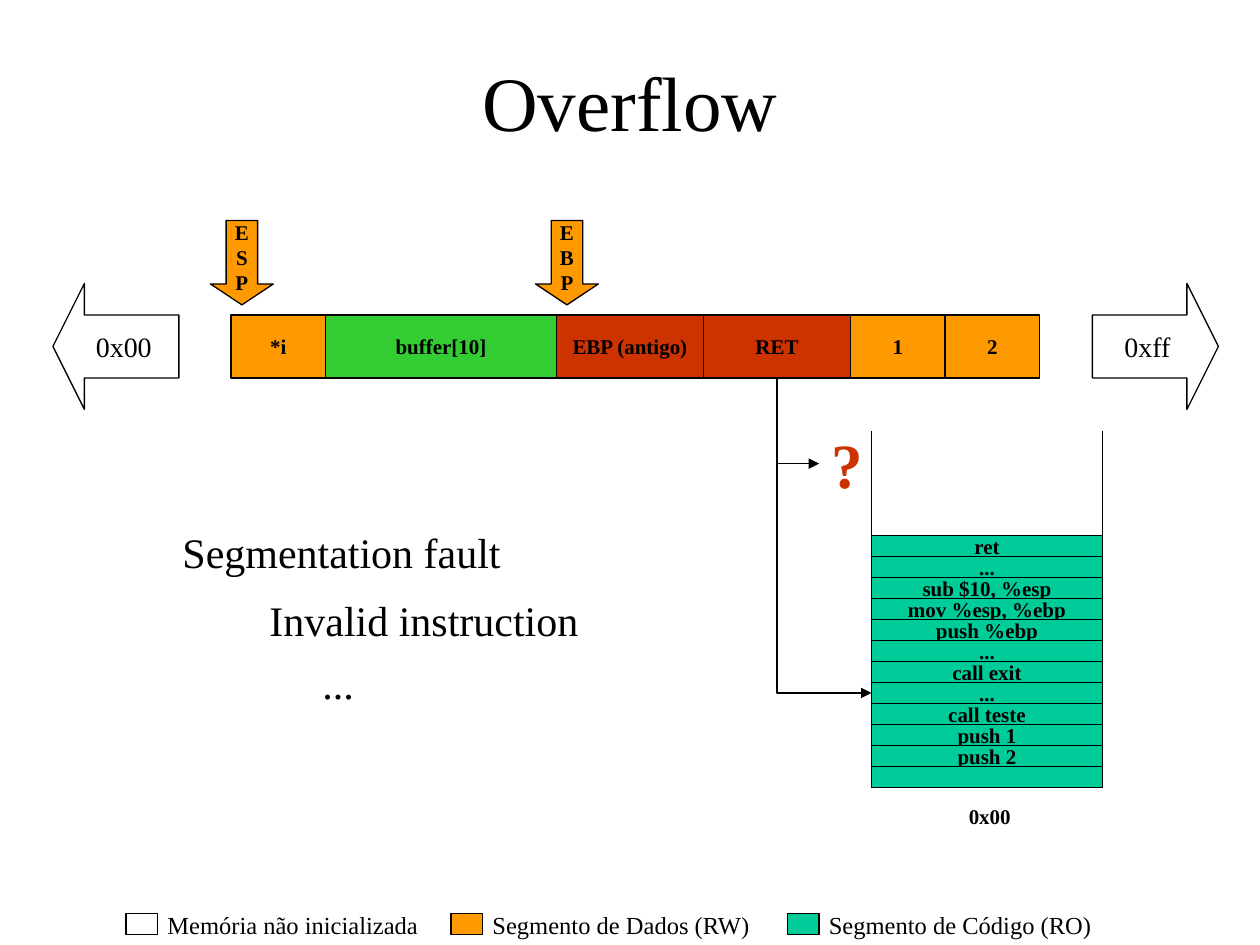
from typing import NamedTuple, Optional

from lxml.etree import SubElement
from pptx import Presentation
from pptx.dml.color import RGBColor
from pptx.enum.shapes import MSO_CONNECTOR, MSO_SHAPE as Shape
from pptx.enum.text import MSO_ANCHOR as Anchor, MSO_AUTO_SIZE as AutoSize, PP_ALIGN as Align
from pptx.oxml.ns import qn
from pptx.util import Inches, Pt

BLACK = RGBColor(0x00, 0x00, 0x00)
WHITE = RGBColor(0xFF, 0xFF, 0xFF)
ORANGE = RGBColor(0xFF, 0x99, 0x00)
RED = RGBColor(0xCC, 0x33, 0x00)
GREEN = RGBColor(0x33, 0xCC, 0x33)
TEAL = RGBColor(0x00, 0xCC, 0x99)
FONT = "Times New Roman"
LINE = Pt(0.75)


class Box(NamedTuple):
    x: float
    y: float
    w: float
    h: float

    def emu(self) -> list:
        return [Inches(v) for v in self]


class Cell(NamedTuple):
    text: str
    width: float
    color: RGBColor


class Label(NamedTuple):
    text: str
    box: Box
    size: int
    bold: bool = False
    color: RGBColor = BLACK


class Key(NamedTuple):
    text: str
    x: float
    text_width: float
    color: RGBColor


STACK_LEFT, STACK_TOP, STACK_HEIGHT = 11 / 6, 2.5, 0.5
STACK = [
    Cell("*i", 0.75, ORANGE),
    Cell("buffer[10]", 11 / 6, GREEN),
    Cell("EBP (antigo)", 7 / 6, RED),
    Cell("RET", 7 / 6, RED),
    Cell("1", 0.75, ORANGE),
    Cell("2", 0.75, ORANGE),
]

CODE_LEFT, CODE_TOP, CODE_WIDTH, ROW_HEIGHT = 83 / 12, 4.25, 11 / 6, 1 / 6
CODE = ["ret", "...", "sub $10, %esp", "mov %esp, %ebp", "push %ebp", "...",
        "call exit", "...", "call teste", "push 1", "push 2", ""]

LABELS = [
    Label("Segmentation fault", Box(1.35, 4.13, 2.77, 0.5), 24),
    Label("Invalid instruction", Box(2.04, 4.67, 2.69, 0.5), 24),
    Label("...", Box(2.46, 5.17, 0.47, 0.5), 24),
    Label("0x00", Box(7.59, 6.33, 0.55, 0.3), 12, True),
    Label("?", Box(6.5, 3.33, 0.47, 0.7), 36, True, RED),
]

LEGEND = [
    Key("Memória não inicializada", 1, 2.23, WHITE),
    Key("Segmento de Dados (RW)", 3.58, 2.29, ORANGE),
    Key("Segmento de Código (RO)", 6.25, 2.33, TEAL),
]


def write(tf, text: str, size: int, bold: bool, color: RGBColor, align: Align) -> None:
    tf.text = text
    for p in tf.paragraphs:
        p.alignment = align
        for r in p.runs:
            r.font.name = FONT
            r.font.size = Pt(size)
            r.font.bold = bold
            r.font.color.rgb = color


def add_block(s, kind: Shape, box: Box, fill: RGBColor, text: str = "", size: int = 12,
              bold: bool = True, line: Optional[RGBColor] = BLACK):
    sp = s.shapes.add_shape(kind, *box.emu())
    sp.shadow.inherit = False
    sp.fill.solid()
    sp.fill.fore_color.rgb = fill
    if line is None:
        sp.line.fill.background()
    else:
        sp.line.color.rgb = line
        sp.line.width = LINE
    if text:
        tf = sp.text_frame
        tf.word_wrap = False
        tf.vertical_anchor = Anchor.MIDDLE
        write(tf, text, size, bold, BLACK, Align.CENTER)
    return sp


def add_label(s, label: Label) -> None:
    tf = s.shapes.add_textbox(*label.box.emu()).text_frame
    tf.word_wrap = False
    tf.auto_size = AutoSize.SHAPE_TO_FIT_TEXT
    write(tf, label.text, label.size, label.bold, label.color, Align.LEFT)


def add_jump(s, x1: float, y1: float, x2: float, y2: float) -> None:
    """Draw an arrow that goes down from the first point, then right to the second."""
    run, drop = x2 - x1, y2 - y1
    left = (x1 + x2 - drop) / 2
    top = (y1 + y2 - run) / 2
    # The one-bend connector leaves sideways, so it is mirrored and turned.
    cxn = s.shapes.add_connector(MSO_CONNECTOR.ELBOW, Inches(left + drop), Inches(top),
                                 Inches(left), Inches(top + run))
    cxn.line.color.rgb = BLACK
    cxn.line.width = LINE
    sp_pr = cxn.element.spPr
    sp_pr.find(qn("a:xfrm")).set("rot", str(270 * 60000))
    sp_pr.find(qn("a:prstGeom")).set("prst", "bentConnector2")
    SubElement(sp_pr.find(qn("a:ln")), qn("a:tailEnd"), type="triangle")
    SubElement(sp_pr, qn("a:effectLst"))


def add_title(s, text: str) -> None:
    tf = s.shapes.add_textbox(*Box(0.75, 0.17, 8.5, 1.25).emu()).text_frame
    tf.word_wrap = True
    tf.vertical_anchor = Anchor.MIDDLE
    write(tf, text, 44, False, BLACK, Align.CENTER)


def add_stack(s) -> None:
    x = STACK_LEFT
    for cell in STACK:
        add_block(s, Shape.RECTANGLE, Box(x, STACK_TOP, cell.width, STACK_HEIGHT),
                  cell.color, cell.text)
        x += cell.width
    for name, left in (("ESP", 1.67), ("EBP", 4.25)):
        arrow = add_block(s, Shape.DOWN_ARROW, Box(left, 1.75, 0.5, 0.67), ORANGE,
                          "\n".join(name))
        arrow.adjustments[1] = 0.333
    for kind, left, address in ((Shape.LEFT_ARROW, 0.42, "0x00"),
                                (Shape.RIGHT_ARROW, 8.67, "0xff")):
        arrow = add_block(s, kind, Box(left, 2.25, 1, 1), WHITE, address, 16, False)
        arrow.adjustments[1] = 0.25


def add_code(s) -> None:
    add_block(s, Shape.RECTANGLE, Box(CODE_LEFT, 3.33, CODE_WIDTH, 2.92), WHITE)
    for i, text in enumerate(CODE):
        add_block(s, Shape.RECTANGLE,
                  Box(CODE_LEFT, CODE_TOP + i * ROW_HEIGHT, CODE_WIDTH, ROW_HEIGHT), TEAL, text)
    # Leaves the top of the memory column open.
    add_block(s, Shape.RECTANGLE, Box(6.83, 3.25, 2.17, 0.17), WHITE, line=None)


def add_legend(s) -> None:
    for key in LEGEND:
        add_block(s, Shape.RECTANGLE, Box(key.x, 7.25, 0.25, 0.17), key.color)
        add_label(s, Label(key.text, Box(key.x + 0.23, 7.17, key.text_width, 0.34), 14))


def main() -> None:
    prs = Presentation()
    prs.slide_width, prs.slide_height = Inches(10), Inches(7.5)
    s = prs.slides.add_slide(prs.slide_layouts[6])
    add_title(s, "Overflow")
    add_stack(s)
    add_code(s)
    ret_x, ret_y = 37 / 6, STACK_TOP + STACK_HEIGHT
    add_jump(s, ret_x, ret_y, CODE_LEFT, 5.5)
    add_jump(s, ret_x, ret_y, 6.5, 3.68)
    for label in LABELS:
        add_label(s, label)
    add_legend(s)
    prs.save("out.pptx")


if __name__ == "__main__":
    main()
